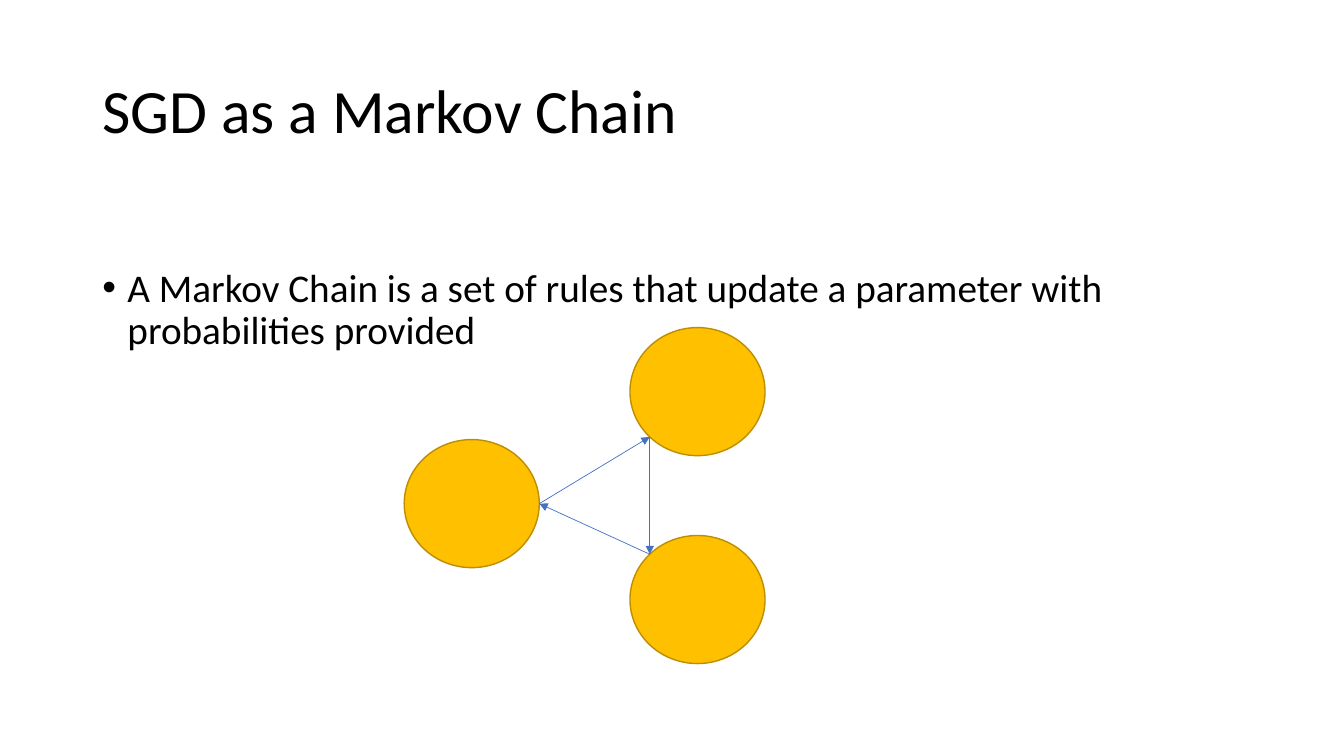
from dataclasses import dataclass
from math import cos, radians, sin

from lxml import etree
from pptx import Presentation
from pptx.dml.color import RGBColor
from pptx.enum.shapes import MSO_CONNECTOR, MSO_SHAPE
from pptx.enum.text import MSO_ANCHOR, PP_ALIGN
from pptx.oxml.ns import qn
from pptx.slide import Slide
from pptx.text.text import _Paragraph
from pptx.util import Pt

ELLIPSE = MSO_SHAPE.OVAL
STRAIGHT = MSO_CONNECTOR.STRAIGHT
LEFT = PP_ALIGN.LEFT
TOP, MIDDLE = MSO_ANCHOR.TOP, MSO_ANCHOR.MIDDLE


@dataclass(frozen=True)
class Theme:
    font: str = "Calibri"
    title_size: float = 44
    body_size: float = 28
    text: RGBColor = RGBColor(0x00, 0x00, 0x00)
    background: RGBColor = RGBColor(0xFF, 0xFF, 0xFF)
    state_fill: RGBColor = RGBColor(0xFF, 0xC0, 0x00)
    state_line: RGBColor = RGBColor(0xBD, 0x8E, 0x00)
    arrow: RGBColor = RGBColor(0x44, 0x72, 0xC4)


THEME = Theme()
STATE_WIDTH, STATE_HEIGHT = 96.5, 91.5
MARGIN, CONTENT_WIDTH = 66, 828


@dataclass(frozen=True)
class State:
    left: float
    top: float
    port_angle: float  # degrees clockwise from the right-hand side

    def port(self) -> tuple[float, float]:
        """Point on the outline where the arrows meet the state."""
        angle = radians(self.port_angle)
        return (self.left + STATE_WIDTH / 2 * (1 + cos(angle)),
                self.top + STATE_HEIGHT / 2 * (1 + sin(angle)))


# The chain runs through the states in this order and back to the first
STATES = [State(288.75, 314, 0), State(450, 234, 135), State(450, 382.5, 225)]


def format_text(paragraph: _Paragraph, size: float) -> None:
    paragraph.alignment = LEFT
    paragraph.line_spacing = 0.9
    paragraph.font.name = THEME.font
    paragraph.font.size = Pt(size)
    paragraph.font.color.rgb = THEME.text


def add_title(slide: Slide, text: str) -> None:
    title = slide.shapes.title
    title.left, title.top = Pt(MARGIN), Pt(28.75)
    title.width, title.height = Pt(CONTENT_WIDTH), Pt(104.5)
    title.text_frame.text = text
    title.text_frame.vertical_anchor = MIDDLE
    format_text(title.text_frame.paragraphs[0], THEME.title_size)


def add_bullet(slide: Slide, text: str) -> None:
    body = slide.shapes.add_textbox(Pt(MARGIN), Pt(188.3), Pt(CONTENT_WIDTH), Pt(298.3))
    frame = body.text_frame
    frame.word_wrap = True
    frame.vertical_anchor = TOP
    definition = frame.paragraphs[0]
    definition.text = text
    properties = definition._p.get_or_add_pPr()
    properties.set("marL", str(Pt(18)))
    properties.set("indent", str(Pt(-18)))
    etree.SubElement(properties, qn("a:buFont"), typeface="Arial")
    etree.SubElement(properties, qn("a:buChar"), char="•")
    format_text(definition, THEME.body_size)


def add_state(slide: Slide, state: State) -> None:
    circle = slide.shapes.add_shape(ELLIPSE, Pt(state.left), Pt(state.top),
                                    Pt(STATE_WIDTH), Pt(STATE_HEIGHT))
    circle.shadow.inherit = False
    circle.fill.solid()
    circle.fill.fore_color.rgb = THEME.state_fill
    circle.line.color.rgb = THEME.state_line
    circle.line.width = Pt(1)


def add_transition(slide: Slide, source: State, target: State) -> None:
    ends = [Pt(value) for value in (*source.port(), *target.port())]
    arrow = slide.shapes.add_connector(STRAIGHT, *ends)
    arrow.line.color.rgb = THEME.arrow
    arrow.line.width = Pt(0.5)
    etree.SubElement(arrow.line._get_or_add_ln(), qn("a:tailEnd"), type="triangle")
    etree.SubElement(arrow._element.spPr, qn("a:effectLst"))


def main() -> None:
    presentation = Presentation()
    presentation.slide_width, presentation.slide_height = Pt(960), Pt(540)
    slide = presentation.slides.add_slide(presentation.slide_layouts[5])
    slide.background.fill.solid()
    slide.background.fill.fore_color.rgb = THEME.background

    # Title and definition
    add_title(slide, "SGD as a Markov Chain")
    add_bullet(slide, "A Markov Chain is a set of rules that update a parameter "
                      "with probabilities provided")

    # Chain diagram
    for state in STATES:
        add_state(slide, state)
    for source, target in zip(STATES, STATES[1:] + STATES[:1]):
        add_transition(slide, source, target)

    presentation.save("out.pptx")


if __name__ == "__main__":
    main()
